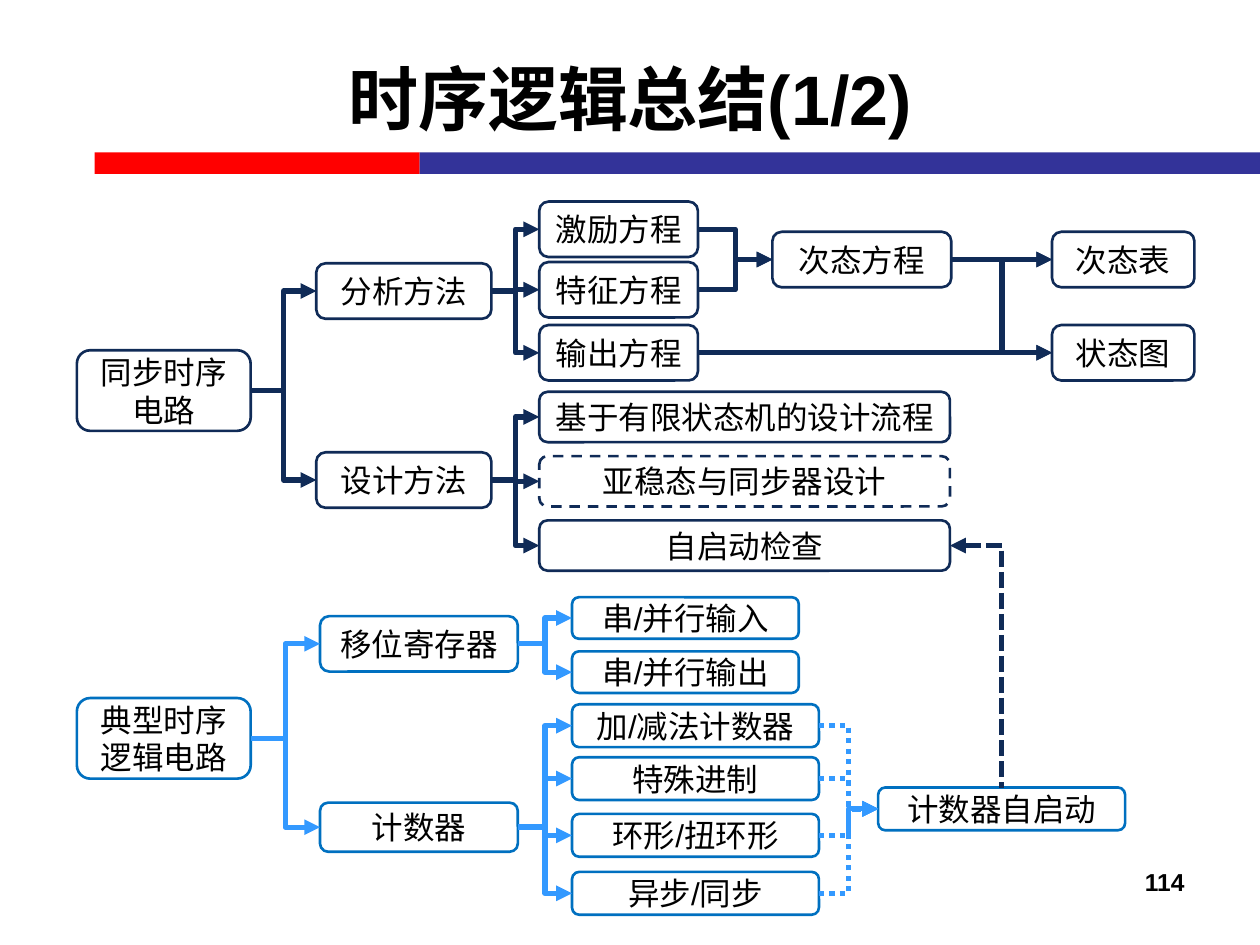
from dataclasses import dataclass

from lxml import etree
from pptx import Presentation, util as u
from pptx.dml.color import RGBColor
from pptx.enum import dml, shapes, text
from pptx.oxml import ns

TOP, LEFT, RIGHT = 0, 1, 3


@dataclass(frozen=True)
class Theme:
    """Colours, type sizes and line weights."""
    font: str = "Arial"
    ink: str = "000000"
    paper: str = "FFFFFF"
    red: str = "FF0000"
    indigo: str = "333399"
    navy: str = "102B57"
    blue: str = "0070C0"
    sky: str = "3399FF"
    title: int = 40
    body: int = 18
    number: int = 14
    outline: float = 1.5
    link: float = 3


class Diagram:
    """Draws bars, labels, boxes and links on one slide."""

    def __init__(self, slide, theme):
        self.items = slide.shapes
        self.theme = theme

    def add_words(self, frame, words, size, align, bold=False):
        frame.word_wrap = True
        paragraph = frame.paragraphs[0]
        paragraph.alignment = align
        run = paragraph.add_run()
        run.text = words
        run.font.name = self.theme.font
        run.font.size = u.Pt(size)
        run.font.bold = bold
        run.font.color.rgb = RGBColor.from_string(self.theme.ink)

    def panel(self, kind, area, fill):
        panel = self.items.add_shape(kind, *map(u.Inches, area))
        panel.shadow.inherit = False
        panel.fill.solid()
        panel.fill.fore_color.rgb = RGBColor.from_string(fill)
        return panel

    def bar(self, area, fill):
        self.panel(shapes.MSO_SHAPE.RECTANGLE, area, fill).line.fill.background()

    def label(self, area, words, size, align, anchor):
        label = self.items.add_textbox(*map(u.Inches, area))
        label.text_frame.vertical_anchor = anchor
        self.add_words(label.text_frame, words, size, align, bold=True)

    def stroke(self, line, color, weight, dash):
        line.color.rgb = RGBColor.from_string(color)
        line.width = u.Pt(weight)
        if dash:
            line.dash_style = dash

    def box(self, words, area, color, dash=None):
        box = self.panel(shapes.MSO_SHAPE.ROUNDED_RECTANGLE, area, self.theme.paper)
        self.stroke(box.line, color, self.theme.outline, dash)
        frame = box.text_frame
        frame.margin_left = frame.margin_right = u.Inches(0.05)
        frame.margin_top = frame.margin_bottom = 0
        frame.vertical_anchor = text.MSO_ANCHOR.MIDDLE
        self.add_words(frame, words, self.theme.body, text.PP_ALIGN.CENTER)
        return box

    def column(self, names, left, tops, width, height, color):
        return [self.box(name, (left, top, width, height), color)
                for name, top in zip(names, tops)]

    def link(self, start, end, color, dash=None, kind=shapes.MSO_CONNECTOR.ELBOW,
             end_site=LEFT, arrow="tailEnd", bend=None, preset=None):
        link = self.items.add_connector(kind, 0, 0, 0, 0)
        link.begin_connect(start, RIGHT)
        link.end_connect(end, end_site)
        self.stroke(link.line, color, self.theme.link, dash)
        properties = link.element.spPr
        outline = properties.find(ns.qn("a:ln"))
        etree.SubElement(outline, ns.qn(f"a:{arrow}"), type="triangle")
        etree.SubElement(properties, ns.qn("a:effectLst"))
        geometry = properties.find(ns.qn("a:prstGeom"))
        if preset:
            geometry.set("prst", preset)
        if bend:
            guides = geometry.find(ns.qn("a:avLst"))
            etree.SubElement(guides, ns.qn("a:gd"), name="adj1",
                             fmla=f"val {round(bend * 100000)}")

    def branch(self, parent, children, color):
        for child in children:
            self.link(parent, child, color)

    def merge(self, sources, target, color, dash=None):
        for source in sources:
            self.link(source, target, color, dash)


def draw_synchronous(diagram):
    """Draw the synchronous circuit tree and return its self-start check."""
    navy = diagram.theme.navy
    circuit = diagram.box("同步时序电路", (0.61, 2.78, 1.38, 0.64), navy)
    methods = diagram.column(["分析方法", "设计方法"], 2.51, [2.09, 3.59], 1.39, 0.44, navy)
    equations = diagram.column(["激励方程", "特征方程", "输出方程"],
                               4.28, [1.6, 2.08, 2.58], 1.26, 0.44, navy)
    next_state = diagram.box("次态方程", (6.13, 1.84, 1.42, 0.44), navy)
    table, graph = diagram.column(["次态表", "状态图"], 8.35, [1.84, 2.58], 1.13, 0.44, navy)
    steps = [diagram.box(name, (4.28, 3.11 + 0.51 * row, 3.26, 0.4), navy, dash)
             for row, (name, dash) in enumerate([
                 ("基于有限状态机的设计流程", None),
                 ("亚稳态与同步器设计", dml.MSO_LINE.DASH),
                 ("自启动检查", None)])]

    diagram.branch(circuit, methods, navy)
    diagram.branch(methods[0], equations, navy)
    diagram.branch(methods[1], steps, navy)
    diagram.merge(equations[:2], next_state, navy)
    output = equations[2]
    diagram.link(output, table, navy, bend=0.86)
    diagram.link(next_state, graph, navy)
    for source, result in ((next_state, table), (output, graph)):
        diagram.link(source, result, navy, kind=shapes.MSO_CONNECTOR.STRAIGHT)
    return steps[-1]


def draw_typical(diagram):
    """Draw the typical circuit tree and return its self-starting counter."""
    blue, sky = diagram.theme.blue, diagram.theme.sky
    circuit = diagram.box("典型时序逻辑电路", (0.61, 5.54, 1.38, 0.64), blue)
    register = diagram.box("移位寄存器", (2.54, 4.89, 1.57, 0.44), blue)
    counter = diagram.box("计数器", (2.54, 6.37, 1.57, 0.39), blue)
    ports = diagram.column(["串/并行输入", "串/并行输出"], 4.54, [4.74, 5.17], 1.8, 0.33, blue)
    counters = diagram.column(["加/减法计数器", "特殊进制", "环形/扭环形", "异步/同步"],
                              4.54, [5.59, 6.01, 6.46, 6.92], 1.96, 0.34, blue)
    self_start = diagram.box("计数器自启动", (6.97, 6.25, 1.96, 0.34), blue)

    diagram.branch(circuit, [register, counter], sky)
    diagram.branch(register, ports, sky)
    diagram.branch(counter, counters, sky)
    diagram.merge(counters, self_start, sky, dml.MSO_LINE.ROUND_DOT)
    return self_start


def main():
    """Build the sequential logic summary slide."""
    deck = Presentation()
    deck.slide_width, deck.slide_height = u.Inches(10), u.Inches(7.5)
    theme = Theme()
    diagram = Diagram(deck.slides.add_slide(deck.slide_layouts[6]), theme)

    diagram.bar((0.75, 1.21, 2.58, 0.17), theme.red)
    diagram.bar((3.33, 1.21, 6.67, 0.17), theme.indigo)
    diagram.label((0.5, 0.15, 9, 1.25), "时序逻辑总结(1/2)", theme.title,
                  text.PP_ALIGN.CENTER, text.MSO_ANCHOR.MIDDLE)
    diagram.label((7.17, 6.83, 2.33, 0.52), "114", theme.number,
                  text.PP_ALIGN.RIGHT, text.MSO_ANCHOR.TOP)

    check = draw_synchronous(diagram)
    self_start = draw_typical(diagram)
    diagram.link(check, self_start, theme.navy, dml.MSO_LINE.SQUARE_DOT,
                 end_site=TOP, arrow="headEnd", preset="bentConnector2")
    deck.save("out.pptx")


if __name__ == "__main__":
    main()
